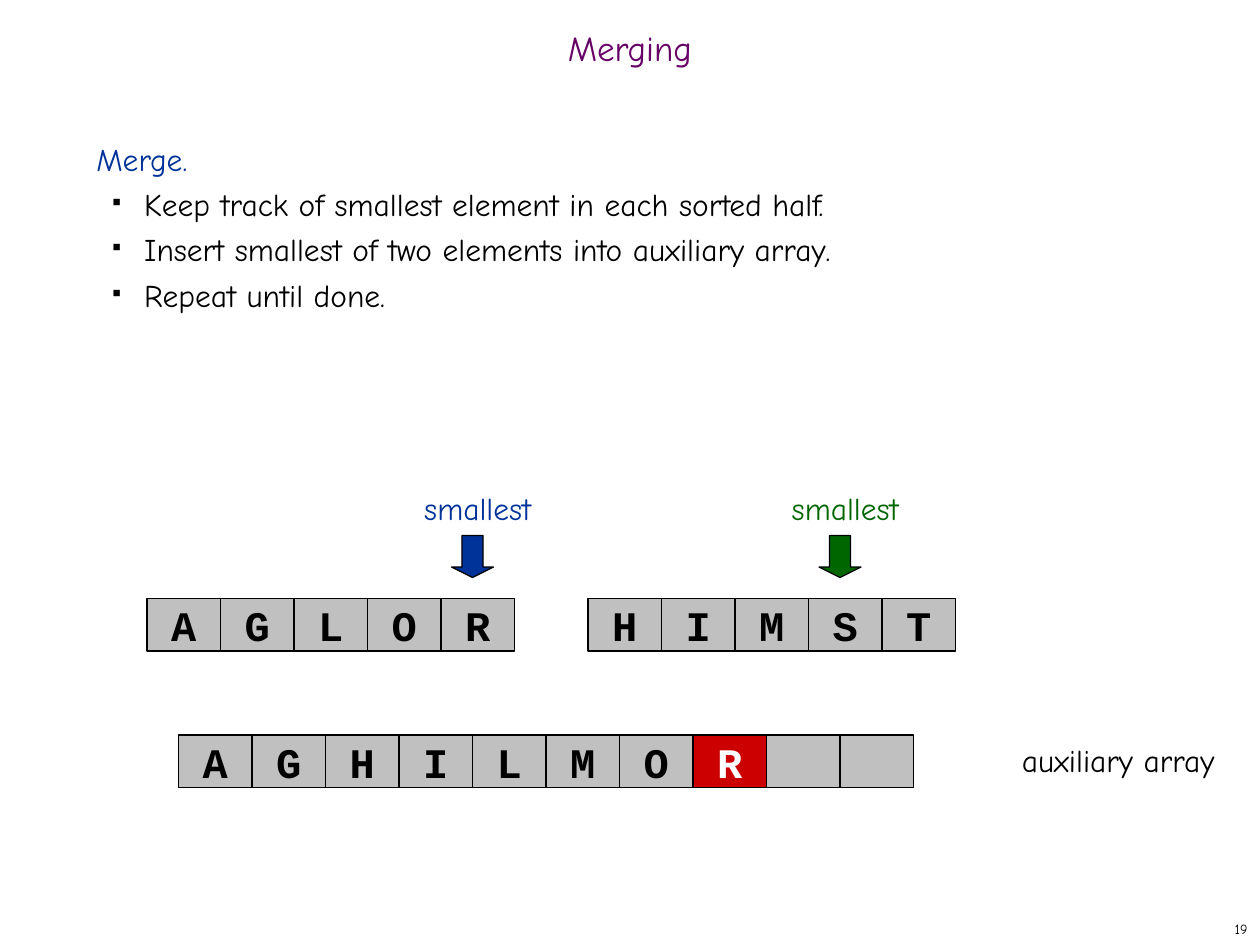
"""Build the slide that shows one step of merging two sorted halves."""
from lxml import etree
from pptx import Presentation
from pptx import util as u
from pptx.dml import color
from pptx.enum import shapes, text
from pptx.oxml import ns

COLORS = {
    "black": "000000", "white": "FFFFFF", "purple": "660066", "blue": "003399",
    "green": "006600", "red": "CC0000", "gray": "C0C0C0",
}
COLUMNS, ROWS = 120, 90
WIDTH, HEIGHT = u.Inches(10), u.Inches(7.5)
CELL_COLUMNS, CELL_ROWS = 7, 5
BODY_FONT, CELL_FONT = "Comic Neue", "Courier New"


def rgb(name):
    """Return the named colour."""
    return color.RGBColor.from_string(COLORS[name])


def place(column, row, columns, rows):
    """Turn grid columns and rows into a left, top, width and height."""
    return (round(WIDTH * column / COLUMNS), round(HEIGHT * row / ROWS),
            round(WIDTH * columns / COLUMNS), round(HEIGHT * rows / ROWS))


def write(paragraph, words, size=18, ink="black", font=BODY_FONT, bold=False,
          align="LEFT", spacing=None, before=None):
    """Write one formatted run into a paragraph."""
    paragraph.alignment = getattr(text.PP_ALIGN, align)
    if spacing is not None:
        paragraph.line_spacing = spacing
    if before is not None:
        paragraph.space_before = u.Pt(before)
    run = paragraph.add_run()
    run.text = words
    run.font.size = u.Pt(size)
    run.font.name = font
    run.font.bold = bold
    run.font.color.rgb = rgb(ink)


def add_text(slide, area, words, anchor="TOP", wrap=True, **style):
    """Add a text box with one paragraph and return its frame."""
    frame = slide.shapes.add_textbox(*place(*area)).text_frame
    frame.word_wrap = wrap
    frame.vertical_anchor = getattr(text.MSO_ANCHOR, anchor)
    write(frame.paragraphs[0], words, **style)
    return frame


def add_bullet(paragraph):
    """Give a paragraph a small square bullet with a hanging indent."""
    paragraph.level = 1
    props = paragraph._p.get_or_add_pPr()
    props.set("marL", str(u.Inches(0.38)))
    props.set("indent", str(u.Inches(-0.25)))
    tint = etree.SubElement(props, ns.qn("a:buClr"))
    etree.SubElement(tint, ns.qn("a:srgbClr"), val=COLORS["black"])
    etree.SubElement(props, ns.qn("a:buSzPct"), val="35000")
    etree.SubElement(props, ns.qn("a:buChar"), char="■")


def add_figure(slide, preset, area, fill):
    """Add a filled preset shape with a thin black outline."""
    figure = slide.shapes.add_shape(preset, *place(*area))
    figure.shadow.inherit = False
    figure.fill.solid()
    figure.fill.fore_color.rgb = rgb(fill)
    figure.line.color.rgb = rgb("black")
    figure.line.width = u.Pt(0.74)
    return figure


def add_array(slide, column, row, letters, newest=None):
    """Add a row of array cells, with the newest one highlighted."""
    for index, letter in enumerate(letters):
        fill, ink = ("red", "white") if index == newest else ("gray", "black")
        area = (column + index * CELL_COLUMNS, row, CELL_COLUMNS, CELL_ROWS)
        cell = add_figure(slide, shapes.MSO_SHAPE.RECTANGLE, area, fill)
        if letter.strip():
            frame = cell.text_frame
            frame.word_wrap = False
            frame.vertical_anchor = text.MSO_ANCHOR.MIDDLE
            write(frame.paragraphs[0], letter, size=24, ink=ink,
                  font=CELL_FONT, bold=True, align="CENTER")


def add_pointer(slide, column, ink):
    """Add the label and arrow that mark the smallest remaining element."""
    add_text(slide, (column, 46, 25, 4.8), "smallest", ink=ink,
             align="CENTER", before=11.2)
    add_figure(slide, shapes.MSO_SHAPE.DOWN_ARROW, (column + 10, 51, 4, 4), ink).adjustments[1] = 0.25


def add_steps(slide, heading, steps):
    """Add the heading and its bulleted steps."""
    leading = u.Pt(25.9)
    frame = add_text(slide, (8, 12, 103, 71), heading, ink="blue", spacing=leading)
    for step in steps:
        paragraph = frame.add_paragraph()
        write(paragraph, step, spacing=leading)
        add_bullet(paragraph)


def main():
    """Build and save the slide."""
    deck = Presentation()
    deck.slide_width, deck.slide_height = WIDTH, HEIGHT
    slide = deck.slides.add_slide(deck.slide_layouts[6])
    add_text(slide, (0, 2, 120, 6), "Merging", anchor="MIDDLE", size=20,
             ink="purple", align="CENTER", spacing=0.7)
    add_steps(slide, "Merge.", [
        "Keep track of smallest element in each sorted half.",
        "Insert smallest of two elements into auxiliary array.",
        "Repeat until done.",
    ])
    add_pointer(slide, 33, "blue")
    add_pointer(slide, 68, "green")
    add_array(slide, 14, 57, "AGLOR")
    add_array(slide, 56, 57, "HIMST")
    add_array(slide, 17, 70, "AGHILMOR".ljust(10), newest=7)
    add_text(slide, (95, 70, 23, 4.8), "auxiliary array", align="CENTER", before=11.2)
    add_text(slide, (95, 87, 25, 3), "19", anchor="MIDDLE", wrap=False,
             size=8, align="RIGHT")
    deck.save("out.pptx")


main()
